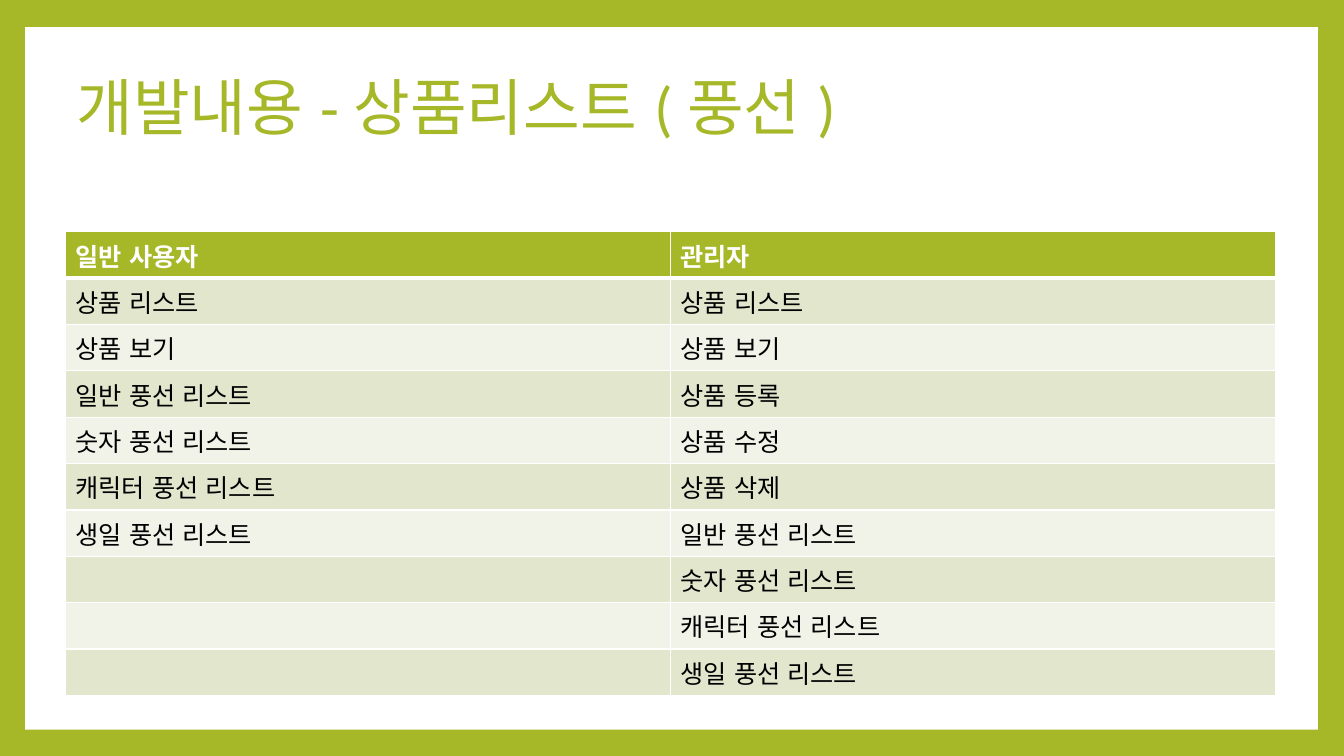
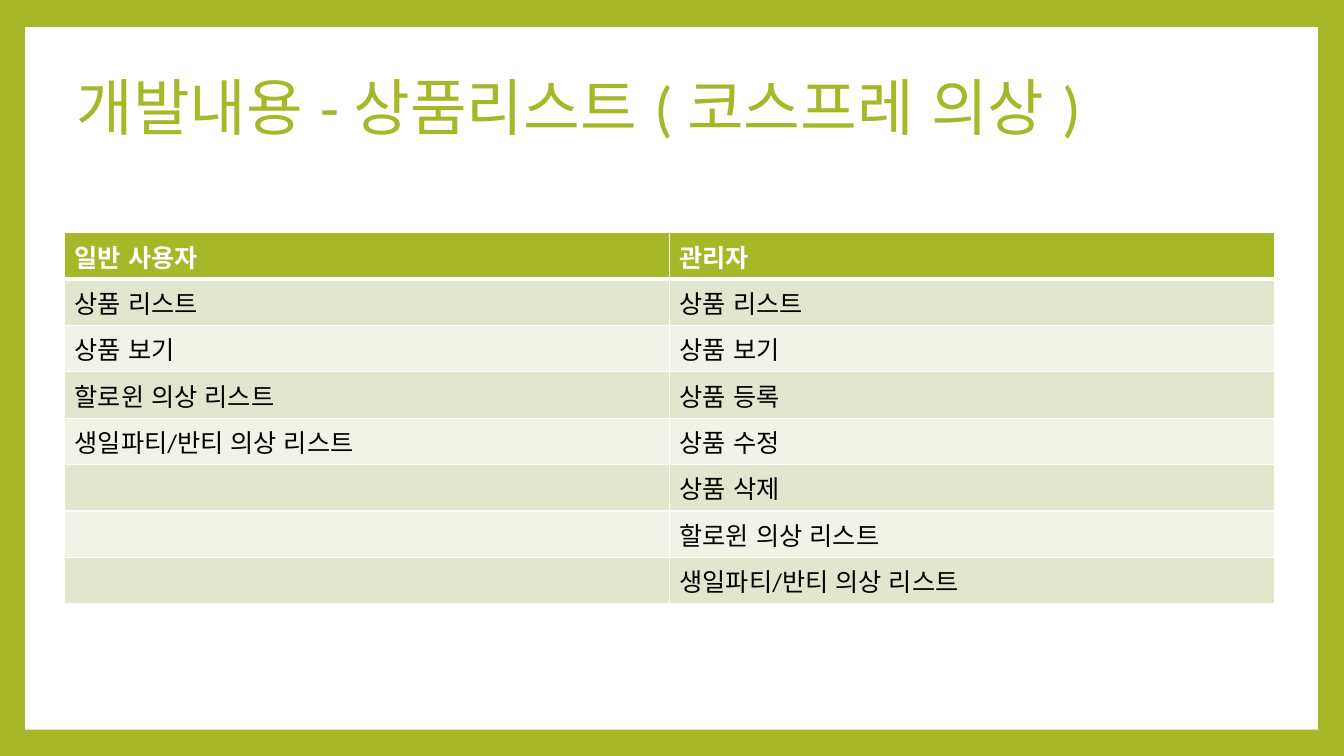
from dataclasses import dataclass
from itertools import zip_longest

from lxml import etree
from pptx import Presentation
from pptx import util as u
from pptx.dml.color import RGBColor
from pptx.enum import lang, shapes, text
from pptx.oxml import ns


@dataclass(frozen=True)
class Theme:
    """Colours, font, type sizes and line widths shared by the slides."""
    accent: RGBColor = RGBColor.from_string("A6B727")
    paper: RGBColor = RGBColor.from_string("FFFFFF")
    ink: RGBColor = RGBColor.from_string("000000")
    bands: tuple = (RGBColor.from_string("F1F3E8"), RGBColor.from_string("E1E6CD"))
    font: str = "Calibri"
    title_size: int = 44
    table_size: int = 18
    thin: int = 1
    thick: int = 3


THEME = Theme()
WIDTH, HEIGHT = 13.33, 7.5
PANEL_BOX = (0.25, 0.27, 12.82, 6.97)
TITLE_BOX = (0.66, 0.36, 10.7, 1.48)
TABLE_WIDTH, ROW_HEIGHT = 12, 0.46

HEADINGS = ("일반 사용자", "관리자")
VIEWING = ["상품 리스트", "상품 보기"]
EDITING = ["상품 등록", "상품 수정", "상품 삭제"]
SECTIONS = [
    ("풍선", (0.65, 2.3),
     ["일반 풍선 리스트", "숫자 풍선 리스트", "캐릭터 풍선 리스트", "생일 풍선 리스트"]),
    ("코스프레 의상", (0.64, 2.31),
     ["할로윈 의상 리스트", "생일파티/반티 의상 리스트"]),
]


def inches(box):
    """Turn a box of numbers into lengths."""
    return [u.Inches(value) for value in box]


def style_text(frame, size, color, bold=False):
    """Format every run of a text frame."""
    for paragraph in frame.paragraphs:
        for run in paragraph.runs:
            run.font.name = THEME.font
            run.font.size = u.Pt(size)
            run.font.bold = bold
            run.font.color.rgb = color
            run.font.language_id = lang.MSO_LANGUAGE_ID.KOREAN


def add_borders(cell, top, bottom):
    """Draw the cell's four borders; call before the fill is set."""
    properties = cell._tc.get_or_add_tcPr()
    widths = {"a:lnL": THEME.thin, "a:lnR": THEME.thin, "a:lnT": top, "a:lnB": bottom}
    for tag, width in widths.items():
        line = etree.SubElement(properties, ns.qn(tag), w=str(u.Pt(width)))
        fill = etree.SubElement(line, ns.qn("a:solidFill"))
        etree.SubElement(fill, ns.qn("a:srgbClr"), val=str(THEME.paper))


def add_frame(slide, box):
    """Colour the background and lay the white panel on it."""
    slide.background.fill.solid()
    slide.background.fill.fore_color.rgb = THEME.accent
    panel = slide.shapes.add_shape(shapes.MSO_SHAPE.RECTANGLE, *inches(box))
    panel.shadow.inherit = False
    panel.fill.solid()
    panel.fill.fore_color.rgb = THEME.paper
    panel.line.fill.background()


def add_title(slide, box, wording):
    """Place the slide title, centred vertically in its box."""
    frame = slide.shapes.add_textbox(*inches(box)).text_frame
    frame.word_wrap = True
    frame.vertical_anchor = text.MSO_ANCHOR.MIDDLE
    frame.text = wording
    frame.paragraphs[0].line_spacing = 0.9
    style_text(frame, THEME.title_size, THEME.accent)


def add_feature_table(slide, box, rows):
    """Fill a banded table whose first row is the heading."""
    table = slide.shapes.add_table(len(rows), len(rows[0]), *inches(box)).table
    for row_index, row in enumerate(rows):
        heading = row_index == 0
        top = THEME.thick if row_index == 1 else THEME.thin
        bottom = THEME.thick if heading else THEME.thin
        for column_index, wording in enumerate(row):
            cell = table.cell(row_index, column_index)
            add_borders(cell, top, bottom)
            cell.fill.solid()
            cell.fill.fore_color.rgb = THEME.accent if heading else THEME.bands[row_index % 2]
            cell.text_frame.text = wording
            style_text(cell.text_frame, THEME.table_size,
                       THEME.paper if heading else THEME.ink, heading)


def add_section_slide(presentation, name, corner, lists):
    """Build the slide that compares user and administrator features."""
    slide = presentation.slides.add_slide(presentation.slide_layouts[6])
    user, administrator = VIEWING + lists, VIEWING + EDITING + lists
    rows = [HEADINGS, *zip_longest(user, administrator, fillvalue="")]
    add_frame(slide, PANEL_BOX)
    add_title(slide, TITLE_BOX, f"개발내용 - 상품리스트 ( {name} )")
    add_feature_table(slide, (*corner, TABLE_WIDTH, ROW_HEIGHT * len(rows)), rows)


def main():
    """Create and save the presentation."""
    presentation = Presentation()
    presentation.slide_width, presentation.slide_height = inches((WIDTH, HEIGHT))
    for section in SECTIONS:
        add_section_slide(presentation, *section)
    presentation.save("out.pptx")


if __name__ == "__main__":
    main()
